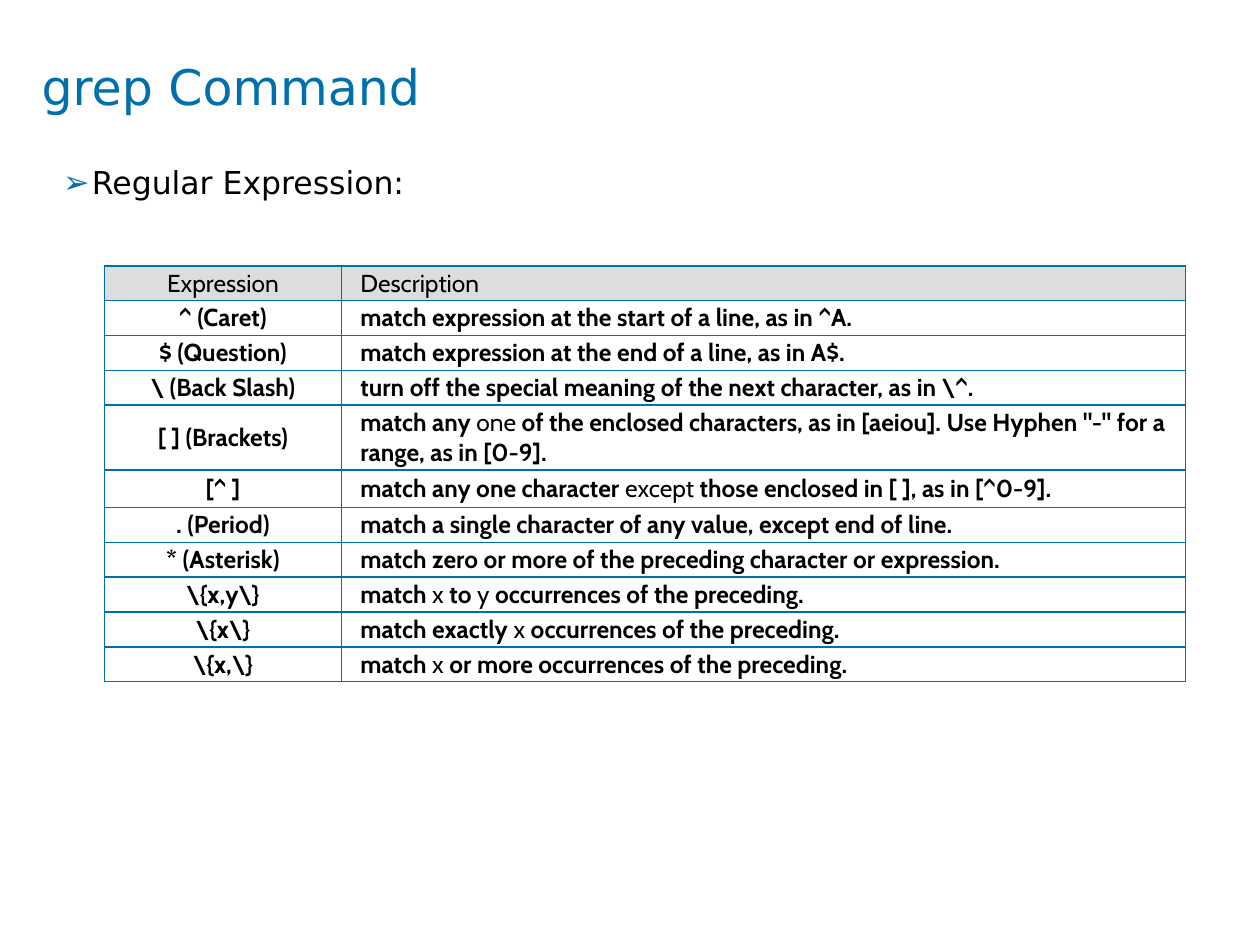
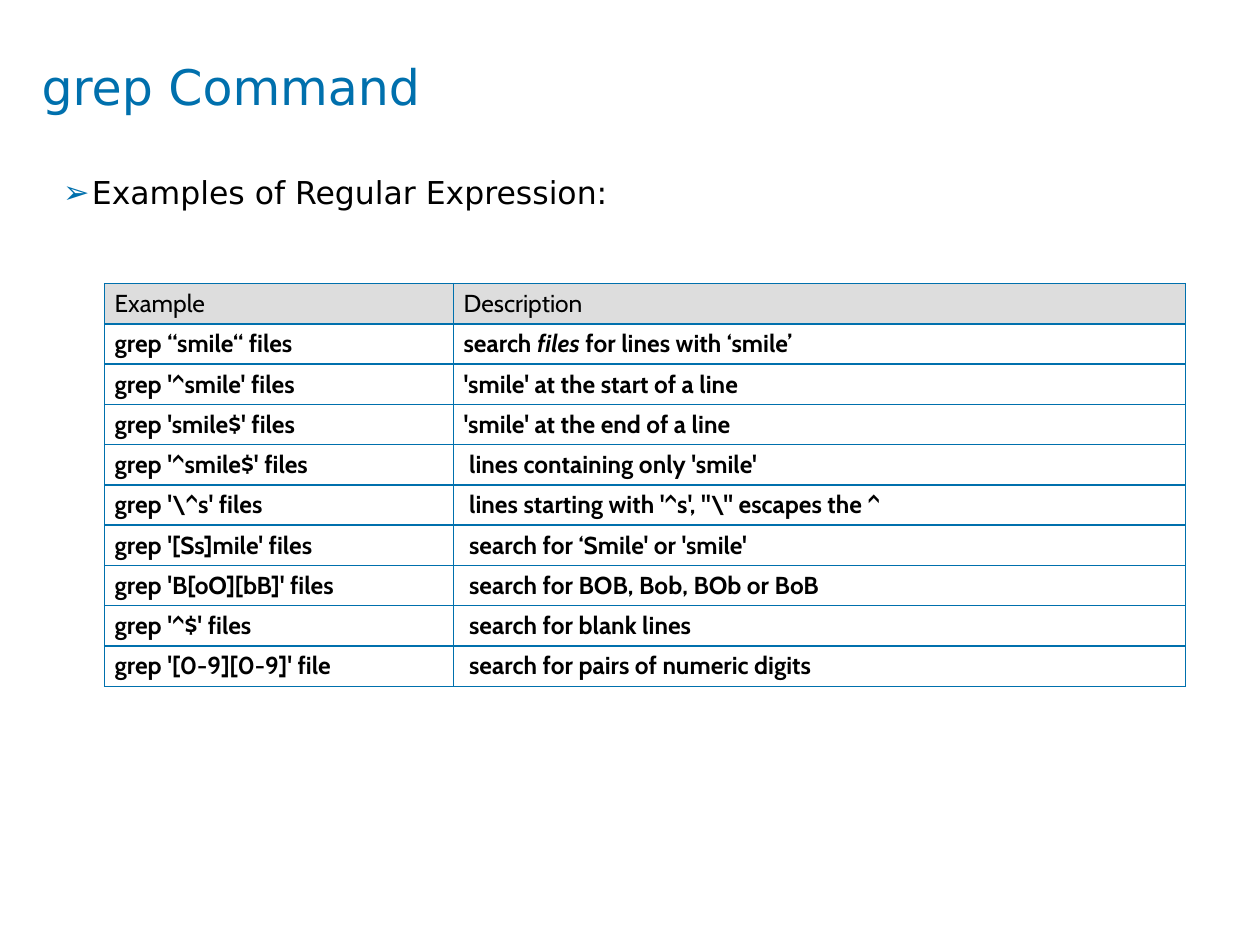
import pptx
import pptx.util
import pptx.dml.color
import pptx.enum.text
import pptx.oxml
import pptx.oxml.ns
from dataclasses import dataclass

Inches = pptx.util.Inches
Pt = pptx.util.Pt
RGB = pptx.dml.color.RGBColor.from_string
Align = pptx.enum.text.PP_ALIGN
Anchor = pptx.enum.text.MSO_ANCHOR
NS = pptx.oxml.ns.nsdecls("a")


@dataclass(frozen=True)
class Theme:
    blue: str = "0070AD"
    black: str = "000000"
    grey: str = "DDDDDD"
    sans: str = "DejaVu Sans"
    cabin: str = "Cabin"
    title: int = 28
    body: int = 18
    cell: int = 14
    line: int = 12700


theme = Theme()

# Text between bars takes the page's accent: plain or italic.
pages = [
    {
        "lead": "Regular Expression:",
        "body": (1.33, 5.37),
        "top": 2.11,
        "cols": (1.88, 6.7),
        "row": 0.27,
        "tall": {4: 0.5, 5: 0.3},
        "pad": (0.15, 0.02),
        "align": Align.CENTER,
        "accent": "plain",
        "rows": [
            ("Expression", "Description"),
            ("^ (Caret)", "match expression at the start of a line, as in ^A."),
            ("$ (Question)", "match expression at the end of a line, as in A$."),
            ("\\ (Back Slash)", "turn off the special meaning of the next character, as in \\^."),
            ("[ ] (Brackets)", "match any |one| of the enclosed characters, as in [aeiou]. "
                               "Use Hyphen \"-\" for a range, as in [0-9]."),
            ("[^ ]", "match any one character |except| those enclosed in [ ], as in [^0-9]."),
            (". (Period)", "match a single character of any value, except end of line."),
            ("* (Asterisk)", "match zero or more of the preceding character or expression."),
            ("\\{x,y\\}", "match |x| to |y| occurrences of the preceding."),
            ("\\{x\\}", "match exactly |x| occurrences of the preceding."),
            ("\\{x,\\}", "match |x| or more occurrences of the preceding."),
        ],
    },
    {
        "lead": "Examples of Regular Expression:",
        "body": (1.41, 5.29),
        "top": 2.25,
        "cols": (2.77, 5.81),
        "row": 0.32,
        "tall": {},
        "pad": (0.08, 0.04),
        "align": Align.LEFT,
        "accent": "italic",
        "rows": [
            ("Example", "Description"),
            ("grep “smile“ files", "search |files| for lines with ‘smile’"),
            ("grep '^smile' files", "'smile' at the start of a line"),
            ("grep 'smile$' files", "'smile' at the end of a line"),
            ("grep '^smile$' files", " lines containing only 'smile'"),
            ("grep '\\^s' files", " lines starting with '^s', \"\\\" escapes the ^"),
            ("grep '[Ss]mile' files", " search for ‘Smile' or 'smile'"),
            ("grep 'B[oO][bB]' files", " search for BOB, Bob, BOb or BoB"),
            ("grep '^$' files", " search for blank lines"),
            ("grep '[0-9][0-9]' file", " search for pairs of numeric digits"),
        ],
    },
]


def style(font, name, size, color):
    font.name = name
    font.size = Pt(size)
    font.color.rgb = RGB(color)


def place(shape, text, left, top, width, height):
    """Move a placeholder, fill in its text and return the paragraph."""
    shape.left, shape.top = Inches(left), Inches(top)
    shape.width, shape.height = Inches(width), Inches(height)
    frame = shape.text_frame
    frame.text = text
    frame.word_wrap = True
    frame.auto_size = pptx.enum.text.MSO_AUTO_SIZE.NONE
    frame.vertical_anchor = Anchor.TOP
    frame.margin_left = frame.margin_right = 0
    frame.margin_top = frame.margin_bottom = 0
    para = frame.paragraphs[0]
    para.space_before = Pt(0)
    return para


deck = pptx.Presentation()
deck.slide_width, deck.slide_height = Inches(10), Inches(7.5)

for page in pages:
    slide = deck.slides.add_slide(deck.slide_layouts[1])

    head = place(slide.shapes.title, "grep Command", 0.33, 0.45, 9.33, 0.94)
    head.alignment = Align.LEFT
    style(head.runs[0].font, theme.sans, theme.title, theme.blue)

    top, height = page["body"]
    lead = place(slide.placeholders[1], page["lead"], 0.5, top, 9, height)
    lead.alignment = Align.JUSTIFY
    lead.line_spacing = 0.9
    props = lead._p.get_or_add_pPr()
    props.set("marL", str(Inches(0.23)))
    props.set("indent", str(-Inches(0.23)))
    for xml in (f'<a:buClr {NS}><a:srgbClr val="{theme.blue}"/></a:buClr>',
                f'<a:buChar {NS} char="➢"/>'):
        props.append(pptx.oxml.parse_xml(xml))
    style(lead.runs[0].font, theme.sans, theme.body, theme.black)

    rows, cols = page["rows"], page["cols"]
    high = [page["tall"].get(n, page["row"]) for n in range(len(rows))]
    table = slide.shapes.add_table(
        len(rows), len(cols), Inches(0.83), Inches(page["top"]),
        Inches(sum(cols)), Inches(sum(high))).table
    table.first_row = table.horz_banding = False
    for col, width in zip(table.columns, cols):
        col.width = Inches(width)
    for row, size in zip(table.rows, high):
        row.height = Inches(size)

    for r, row in enumerate(rows):
        for c, text in enumerate(row):
            cell = table.cell(r, c)
            across, down = page["pad"]
            cell.margin_left = cell.margin_right = Inches(across)
            cell.margin_top = cell.margin_bottom = Inches(down)
            cell.vertical_anchor = Anchor.MIDDLE
            props = cell._tc.get_or_add_tcPr()
            for side in "LRTB":
                props.append(pptx.oxml.parse_xml(
                    f'<a:ln{side} {NS} w="{theme.line}"><a:solidFill>'
                    f'<a:srgbClr val="{theme.blue}"/></a:solidFill></a:ln{side}>'))
            if r == 0:
                cell.fill.solid()
                cell.fill.fore_color.rgb = RGB(theme.grey)
            else:
                cell.fill.background()

            para = cell.text_frame.paragraphs[0]
            para.alignment = page["align"] if c == 0 else Align.LEFT
            for n, part in enumerate(text.split("|")):
                run = para.add_run()
                run.text = part
                style(run.font, theme.cabin, theme.cell, theme.black)
                marked = n % 2 == 1
                run.font.bold = r > 0 and not (marked and page["accent"] == "plain")
                run.font.italic = marked and page["accent"] == "italic"

deck.save("out.pptx")
